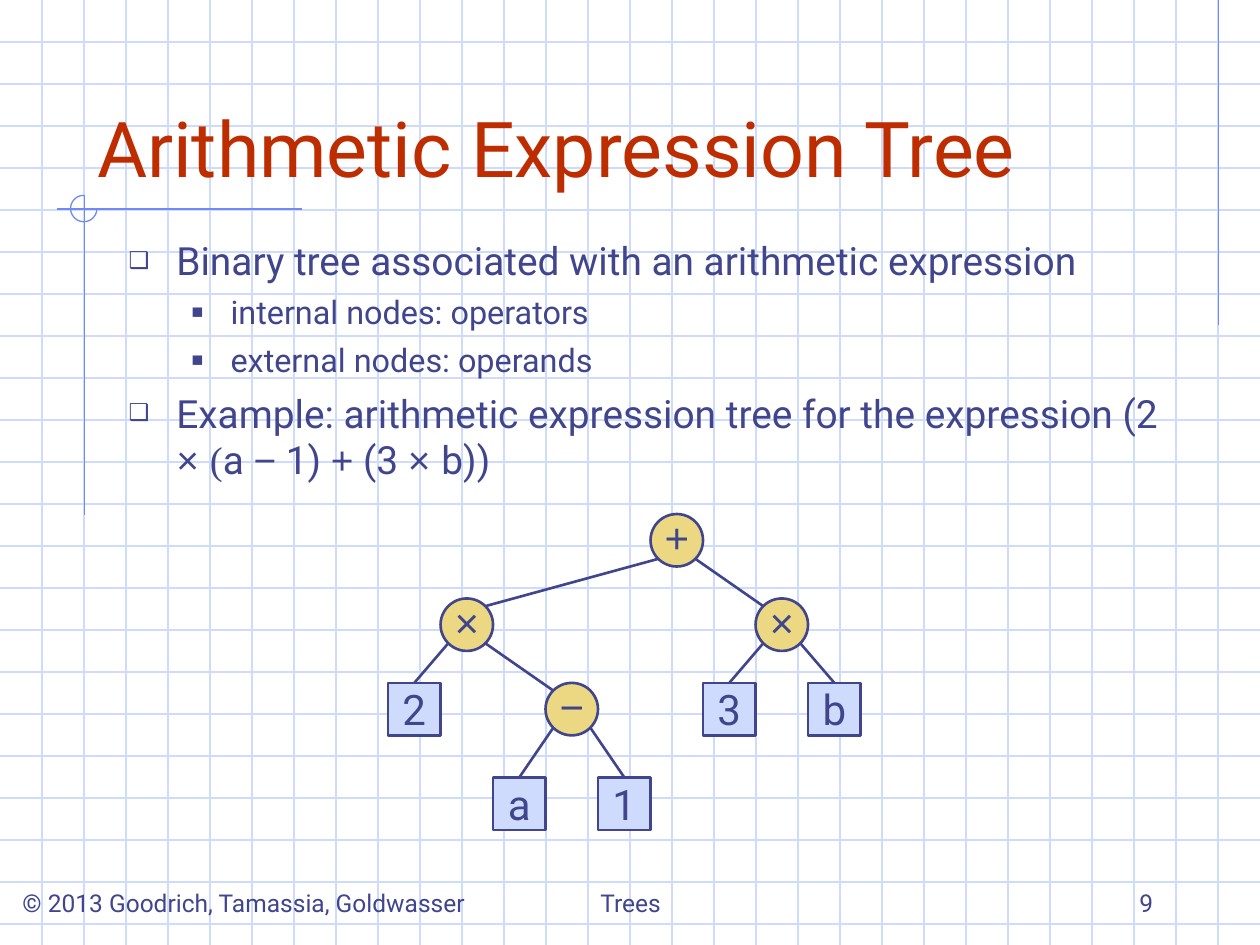
from math import sqrt

from lxml.etree import SubElement
from pptx import Presentation
from pptx.dml.color import RGBColor
from pptx.enum.shapes import MSO_CONNECTOR as Connector, MSO_SHAPE as Shape
from pptx.enum.text import MSO_ANCHOR as Anchor, MSO_AUTO_SIZE as AutoSize, PP_ALIGN as Align
from pptx.oxml.ns import qn
from pptx.util import Inches, Pt

COLORS = {"grid": "CFDBFD", "accent": "6F89F7", "ink": "40458C",
          "title": "BE2D00", "operator": "ECD882", "operand": "CFDBFD"}
FONT, SYMBOL_FONT = "Roboto", "Arial"

# Content
TITLE = "Arithmetic Expression Tree"
BULLETS = [  # level, runs of (text, font)
    (0, [("Binary tree associated with an arithmetic expression", FONT)]),
    (1, [("internal nodes: operators", FONT)]),
    (1, [("external nodes: operands", FONT)]),
    (0, [("Example: arithmetic expression tree for the expression (2 ", FONT),
         ("× ", SYMBOL_FONT), ("(", "Times New Roman"), ("a ", FONT),
         ("−", SYMBOL_FONT), (" 1) ", FONT), ("+", SYMBOL_FONT),
         (" (3 ", FONT), ("× ", SYMBOL_FONT), ("b))", FONT)]),
]
LEVELS = [  # size, space before, margin, hanging indent, bullet
    (22.2, 6, 0.38, 0.38, "❑"),
    (18.5, 5, 0.81, 0.31, "■"),
]
TREE = (("2", "×", ("a", "−", "1")), "+", ("3", "×", "b"))  # left, operator, right
FOOTERS = [  # text, left, width, alignment
    ("Trees", 3.42, 3.17, Align.CENTER),
    ("9", 7.17, 2.08, Align.RIGHT),
    ("© 2013 Goodrich, Tamassia, Goldwasser", 0.08, 3.92, Align.LEFT),
]
ACCENT_LINES = [(9.67, 0, 9.67, 2.58), (2.4, 1.66, 0.45, 1.66), (0.67, 1.55, 0.67, 4.09)]

# Geometry
WIDTH, HEIGHT = 10, 7.5
GRID_STEP = 1 / 3
NODE = 5 / 12
TREE_LEFT, ROW_TOPS = 3.08, [4.08, 4.75, 5.42, 6.17]
DIAGONAL = NODE / 2 / sqrt(2)


def color(name):
    return RGBColor.from_string(COLORS[name])


def add_line(shapes, ends, color_name, width):
    line = shapes.add_connector(Connector.STRAIGHT, *map(Inches, ends))
    line.line.color.rgb = color(color_name)
    line.line.width = Pt(width)
    SubElement(line.element.spPr, qn("a:effectLst"))
    return line


def add_run(paragraph, text, size, font=FONT, color_name="ink"):
    run = paragraph.add_run()
    run.text = text
    for name, value in {"size": Pt(size), "name": font}.items():
        setattr(run.font, name, value)
    run.font.color.rgb = color(color_name)


def format_frame(frame, **values):
    for name, value in values.items():
        setattr(frame, name, value)


def place(shape, left, top, width, height):
    for name, value in zip(("left", "top", "width", "height"), (left, top, width, height)):
        setattr(shape, name, Inches(value))


def add_bullet(paragraph, margin, hanging, character):
    properties = paragraph._p.get_or_add_pPr()
    properties.set("marL", str(Inches(margin)))
    properties.set("indent", str(-Inches(hanging)))
    bullet_color = SubElement(properties, qn("a:buClr"))
    SubElement(bullet_color, qn("a:srgbClr"), val=COLORS["ink"])
    SubElement(properties, qn("a:buSzPct"), val="60000")
    SubElement(properties, qn("a:buChar"), char=character)


def add_node(shapes, text, column, depth, is_operator):
    kind = Shape.OVAL if is_operator else Shape.RECTANGLE
    left, top = TREE_LEFT + column * NODE, ROW_TOPS[depth]
    node = shapes.add_shape(kind, *map(Inches, (left, top, NODE, NODE)))
    node.shadow.inherit = False
    node.fill.solid()
    node.fill.fore_color.rgb = color("operator" if is_operator else "operand")
    node.line.color.rgb = color("ink")
    node.line.width = Pt(1.5)
    frame = node.text_frame
    format_frame(frame, word_wrap=False, vertical_anchor=Anchor.MIDDLE)
    if is_operator:
        format_frame(frame, margin_left=0, margin_right=0, margin_top=0,
                     margin_bottom=Inches(0.05))
    paragraph = frame.paragraphs[0]
    paragraph.alignment = Align.CENTER
    add_run(paragraph, text, 24, SYMBOL_FONT if is_operator else FONT)
    return node, (left + NODE / 2, top + NODE / 2)


def add_tree(shapes, tree, column=0, depth=0):
    """Draw in-order, one column per node; return node, centre and next column."""
    if isinstance(tree, str):
        return (*add_node(shapes, tree, column, depth, False), column + 1)
    left, operator, right = tree
    left_node, left_center, column = add_tree(shapes, left, column, depth + 1)
    node, (x, y) = add_node(shapes, operator, column, depth, True)
    right_node, right_center, column = add_tree(shapes, right, column + 1, depth + 1)
    branches = [(left, left_node, left_center, -1), (right, right_node, right_center, 1)]
    for child, child_node, (child_x, child_y), side in branches:
        start = (x + side * DIAGONAL, y + DIAGONAL)
        end = (child_x - side * DIAGONAL, child_y - DIAGONAL)
        edge = add_line(shapes, (*start, *end), "ink", 1.5)
        if isinstance(child, str):
            edge.end_connect(child_node, 0)
    return node, (x, y), column


def main():
    presentation = Presentation()
    presentation.slide_width, presentation.slide_height = Inches(WIDTH), Inches(HEIGHT)
    slide = presentation.slides.add_slide(presentation.slide_layouts[1])
    shapes = slide.shapes
    title, body = shapes.title, slide.placeholders[1]

    # Grid paper
    grid = shapes.add_group_shape().shapes
    for i in range(1, 23):
        add_line(grid, (0, i * GRID_STEP, WIDTH, i * GRID_STEP), "grid", 0.75)
    for i in range(1, 30):
        add_line(grid, (i * GRID_STEP, 0, i * GRID_STEP, HEIGHT), "grid", 0.75)

    # Accent lines and three-quarter circle
    for ends in ACCENT_LINES:
        add_line(shapes, ends, "accent", 0.75)
    arc = shapes.add_shape(Shape.ARC, *map(Inches, (0.56, 1.55, 0.21, 0.21)))
    arc.adjustments[0], arc.adjustments[1] = 0, 162
    arc.shadow.inherit = False
    arc.fill.background()
    arc.line.color.rgb = color("accent")
    arc.line.width = Pt(0.75)

    # Title and bullets, above the grid
    for placeholder in (title, body):
        shapes.element.append(placeholder.element)
    place(title, 0.67, 0.33, 8.5, 1.25)
    format_frame(title.text_frame, vertical_anchor=Anchor.BOTTOM, auto_size=AutoSize.NONE)
    heading = title.text_frame.paragraphs[0]
    heading.alignment = Align.LEFT
    add_run(heading, TITLE, 44, color_name="title")

    place(body, 0.92, 1.83, 8.5, 2.17)
    format_frame(body.text_frame, vertical_anchor=Anchor.TOP, auto_size=AutoSize.NONE)
    for i, (level, runs) in enumerate(BULLETS):
        paragraph = body.text_frame.add_paragraph() if i else body.text_frame.paragraphs[0]
        size, space, *bullet = LEVELS[level]
        paragraph.level = level
        paragraph.space_before = Pt(space)
        add_bullet(paragraph, *bullet)
        for text, font in runs:
            add_run(paragraph, text, size, font)

    # Expression tree
    add_tree(shapes.add_group_shape().shapes, TREE)

    # Footers
    for text, left, width, alignment in FOOTERS:
        box = shapes.add_textbox(*map(Inches, (left, 6.83, width, 0.5)))
        format_frame(box.text_frame, word_wrap=True, vertical_anchor=Anchor.BOTTOM)
        paragraph = box.text_frame.paragraphs[0]
        paragraph.alignment = alignment
        add_run(paragraph, text, 14)

    presentation.save("out.pptx")


if __name__ == "__main__":
    main()
